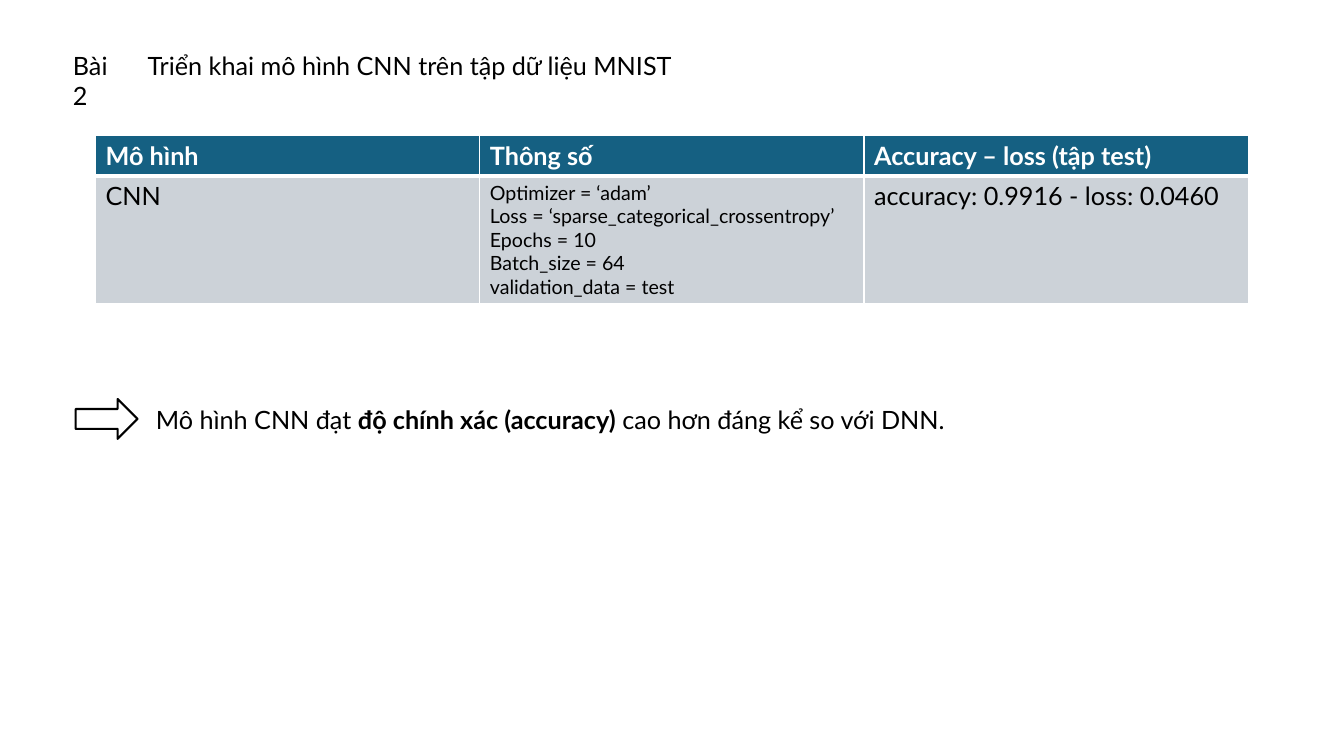
"""Build the slide reporting the CNN results on MNIST."""
import dataclasses

import lxml.etree
import pptx
import pptx.dml.color
import pptx.enum.shapes
import pptx.enum.text
import pptx.oxml.ns
import pptx.util

PX = 9525


@dataclasses.dataclass(frozen=True)
class Theme:
    font: str = "Lato"
    body_size: int = 18
    detail_size: int = 14
    black: pptx.dml.color.RGBColor = pptx.dml.color.RGBColor(0x00, 0x00, 0x00)
    white: pptx.dml.color.RGBColor = pptx.dml.color.RGBColor(0xFF, 0xFF, 0xFF)
    header_fill: pptx.dml.color.RGBColor = pptx.dml.color.RGBColor(0x15, 0x60, 0x82)
    body_fill: pptx.dml.color.RGBColor = pptx.dml.color.RGBColor(0xCC, 0xD2, 0xD8)


THEME = Theme()


def add_text(paragraph, text, size=THEME.body_size, color=THEME.black, bold=False):
    run = paragraph.add_run()
    run.text = text
    run.font.name = THEME.font
    run.font.size = pptx.util.Pt(size)
    run.font.color.rgb = color
    run.font.bold = bold
    paragraph.alignment = pptx.enum.text.PP_ALIGN.LEFT


def add_border(cell, side, points):
    properties = cell._tc.get_or_add_tcPr()
    line = lxml.etree.SubElement(
        properties, pptx.oxml.ns.qn(f"a:ln{side}"), w=str(pptx.util.Pt(points))
    )
    fill = lxml.etree.SubElement(line, pptx.oxml.ns.qn("a:solidFill"))
    lxml.etree.SubElement(fill, pptx.oxml.ns.qn("a:srgbClr"), val=str(THEME.white))


presentation = pptx.Presentation()
presentation.slide_width = 1280 * PX
presentation.slide_height = 720 * PX
slide = presentation.slides.add_slide(presentation.slide_layouts[5])

title = slide.shapes.title
title.left, title.top, title.width, title.height = 131 * PX, 43 * PX, 881 * PX, 38 * PX
exercise = slide.shapes.add_textbox(60 * PX, 43 * PX, 69 * PX, 38 * PX)
conclusion = slide.shapes.add_textbox(139 * PX, 380 * PX, 816 * PX, 38 * PX)

for shape, runs in (
    (exercise, [("Bài 2", False)]),
    (title, [("Triển khai mô hình CNN trên tập dữ liệu MNIST", False)]),
    (conclusion, [
        ("Mô hình CNN đạt ", False),
        ("độ chính xác (accuracy)", True),
        (" cao hơn đáng kể so với DNN.", False),
    ]),
):
    frame = shape.text_frame
    frame.word_wrap = True
    frame.auto_size = pptx.enum.text.MSO_AUTO_SIZE.SHAPE_TO_FIT_TEXT
    frame.vertical_anchor = pptx.enum.text.MSO_ANCHOR.TOP
    for text, bold in runs:
        add_text(frame.paragraphs[0], text, bold=bold)

arrow = slide.shapes.add_shape(
    pptx.enum.shapes.MSO_SHAPE.RIGHT_ARROW, 72 * PX, 380 * PX, 59 * PX, 38 * PX
)
arrow.shadow.inherit = False
arrow.fill.solid()
arrow.fill.fore_color.rgb = THEME.white
arrow.line.color.rgb = THEME.black
arrow.line.width = pptx.util.Pt(1.5)

results = [
    [["Mô hình"], ["Thông số"], ["Accuracy – loss (tập test)"]],
    [
        ["CNN"],
        [
            "Optimizer = ‘adam’",
            "Loss = ‘sparse_categorical_crossentropy’",
            "Epochs = 10",
            "Batch_size = 64",
            "validation_data = test",
        ],
        ["accuracy: 0.9916 - loss: 0.0460"],
    ],
]
table = slide.shapes.add_table(2, 3, 91 * PX, 129 * PX, 1098 * PX, 160 * PX).table
table.horz_banding = False
for row, height in zip(table.rows, (38, 122)):
    row.height = height * PX

for row_index, row in enumerate(results):
    is_header = row_index == 0
    for column_index, lines in enumerate(row):
        cell = table.cell(row_index, column_index)
        for side in "LRTB":
            is_divider = side == ("B" if is_header else "T")
            add_border(cell, side, 3 if is_divider else 1)
        cell.fill.solid()
        cell.fill.fore_color.rgb = THEME.header_fill if is_header else THEME.body_fill
        for line_index, text in enumerate(lines):
            frame = cell.text_frame
            paragraph = frame.add_paragraph() if line_index else frame.paragraphs[0]
            add_text(
                paragraph,
                text,
                size=THEME.detail_size if len(lines) > 1 else THEME.body_size,
                color=THEME.white if is_header else THEME.black,
                bold=is_header,
            )

presentation.save("out.pptx")
